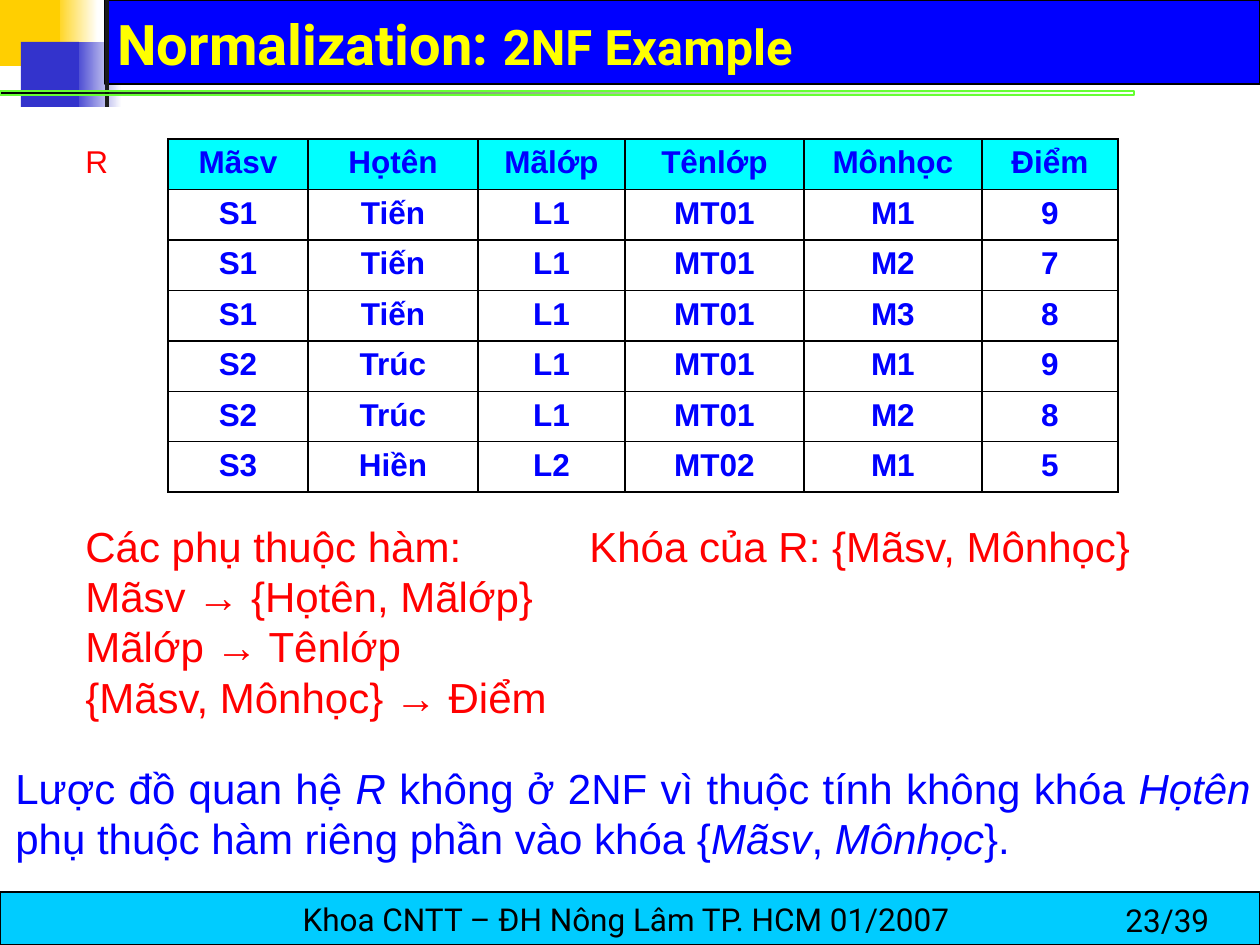
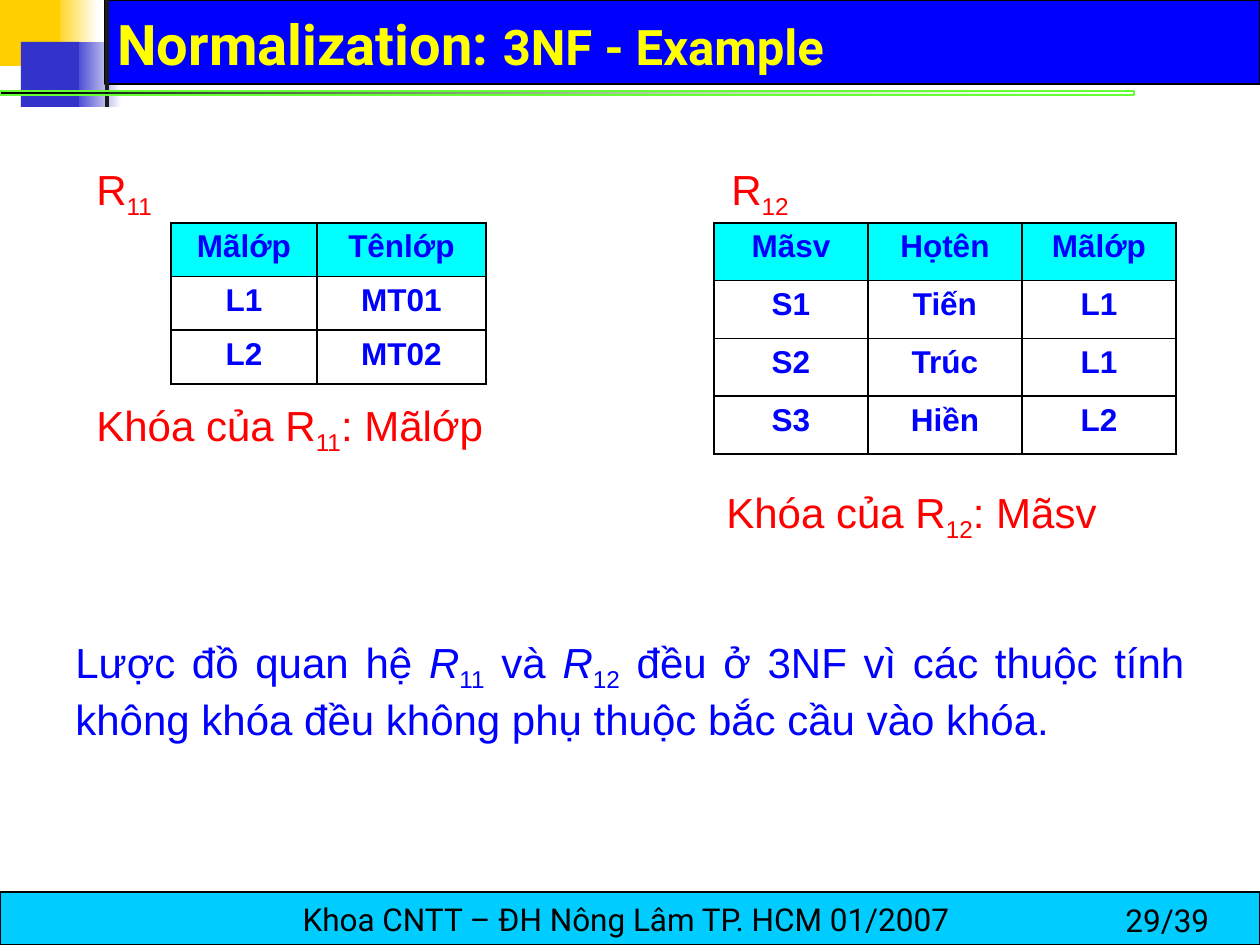
from dataclasses import dataclass

from lxml import etree
from pptx import Presentation
from pptx.dml.color import RGBColor
from pptx.enum.shapes import MSO_SHAPE
from pptx.enum.text import MSO_ANCHOR, PP_ALIGN
from pptx.oxml.ns import qn
from pptx.util import Pt

RECT = MSO_SHAPE.RECTANGLE
LEFT, MID, JUST = PP_ALIGN.LEFT, PP_ALIGN.CENTER, PP_ALIGN.JUSTIFY
TOP, CENTER, BOTTOM = MSO_ANCHOR.TOP, MSO_ANCHOR.MIDDLE, MSO_ANCHOR.BOTTOM
SCALE = 914400 / 126


@dataclass(frozen=True)
class Theme:
    gold: str = "FFCF01"
    navy: str = "3333CC"
    blue: str = "0000FF"
    sky: str = "00CCFF"
    cyan: str = "00FFFF"
    green: str = "66FF33"
    yellow: str = "FFFF00"
    red: str = "FF0000"
    dark: str = "1C1C1C"
    black: str = "000000"
    white: str = "FFFFFF"
    head: str = "Roboto"
    body: str = "Arial"
    title: int = 32
    topic: int = 28
    text: int = 24
    small: int = 18


T = Theme()

# Shared bands: box, fill (a pair is a gradient), line colour, line width
BANDS = [
    ((53, 0, 45, 66), (T.gold, T.white), None, 0),
    ((72, 42, 50, 65), (T.navy, T.white), None, 0),
    ((105, 0, 1155, 84), T.blue, T.black, 0.75),
    ((0, 0, 60, 66), T.gold, None, 0),
    ((21, 42, 58, 65), T.navy, None, 0),
    ((105, 0, 4, 107), T.dark, None, 0),
    ((0, 91, 1134, 4), (T.black, T.green), T.green, 0),
    ((0, 892, 1260, 53), T.sky, T.black, 0.75),
]
FOOTER = "Khoa CNTT – ĐH Nông Lâm TP. HCM 01/2007 "
PAGES = 39
TAB = 504

# A paragraph is a list of runs; a run is plain text or (text, style).
SLIDES = [
    {
        "topic": "2NF Example",
        "page": 23,
        "tables": [
            {
                "at": (168, 139), "high": 353,
                "cols": [140, 170, 147, 179, 178, 136],
                "rows": [
                    ["Mãsv", "Họtên", "Mãlớp", "Tênlớp", "Mônhọc", "Điểm"],
                    ["S1", "Tiến", "L1", "MT01", "M1", "9"],
                    ["S1", "Tiến", "L1", "MT01", "M2", "7"],
                    ["S1", "Tiến", "L1", "MT01", "M3", "8"],
                    ["S2", "Trúc", "L1", "MT01", "M1", "9"],
                    ["S2", "Trúc", "L1", "MT01", "M2", "8"],
                    ["S3", "Hiền", "L2", "MT02", "M1", "5"],
                ],
            },
        ],
        "labels": [
            ((73, 136, 63, 50), T.small, [["R"]]),
            ((73, 514, 1097, 217), T.text, [
                ["Các phụ thuộc hàm:\tKhóa của R: {Mãsv, Mônhọc}"],
                ["Mãsv → {Họtên, Mãlớp}"],
                ["Mãlớp → Tênlớp"],
                ["{Mãsv, Mônhọc} → Điểm"],
            ]),
        ],
        "claim": ((3, 756, 1260, 115), [
            "Lược đồ quan hệ ", ("R", "italic"),
            " không ở 2NF vì thuộc tính không khóa ", ("Họtên", "italic"),
            " phụ thuộc hàm riêng phần vào khóa {", ("Mãsv", "italic"),
            ", ", ("Mônhọc", "italic"), "}.",
        ]),
    },
    {
        "topic": "3NF - Example",
        "page": 29,
        "tables": [
            {
                "at": (171, 223), "high": 161,
                "cols": [146, 169],
                "rows": [["Mãlớp", "Tênlớp"], ["L1", "MT01"], ["L2", "MT02"]],
            },
            {
                "at": (714, 223), "high": 231,
                "cols": [154, 154, 154],
                "rows": [
                    ["Mãsv", "Họtên", "Mãlớp"],
                    ["S1", "Tiến", "L1"],
                    ["S2", "Trúc", "L1"],
                    ["S3", "Hiền", "L2"],
                ],
            },
        ],
        "labels": [
            ((84, 157, 116, 63), T.text, [["R", ("11", "sub")]]),
            ((719, 157, 105, 63), T.text, [["R", ("12", "sub")]]),
            ((84, 393, 514, 63), T.text,
             [["Khóa của R", ("11", "sub"), ": Mãlớp"]]),
            ((714, 480, 451, 63), T.text,
             [["Khóa của R", ("12", "sub"), ": Mãsv"]]),
        ],
        "claim": ((63, 630, 1134, 115), [
            "Lược đồ quan hệ ", ("R", "italic"), ("11", "sub"),
            " và ", ("R", "italic"), ("12", "sub"),
            " đều ở 3NF vì các thuộc tính không khóa đều không phụ thuộc"
            " bắc cầu vào khóa.",
        ]),
    },
]


def emu(px):
    return round(px * SCALE)


def rgb(code):
    return RGBColor.from_string(code)


def style(run, font, size, color, bold=False):
    run.font.name = font
    run.font.size = Pt(size)
    run.font.color.rgb = rgb(color)
    run.font.bold = bold


def add_band(slide, box, fill, edge, width):
    band = slide.shapes.add_shape(RECT, *map(emu, box))
    band.shadow.inherit = False
    if isinstance(fill, tuple):
        band.fill.gradient()
        band.fill.gradient_angle = 0
        for stop, color, spot in zip(band.fill.gradient_stops, fill, (0, 1)):
            stop.color.rgb = rgb(color)
            stop.position = spot
    else:
        band.fill.solid()
        band.fill.fore_color.rgb = rgb(fill)
    if edge:
        band.line.color.rgb = rgb(edge)
        band.line.width = Pt(width)
    else:
        band.line.fill.background()
    return band


def fade_end(band):
    """Make the last gradient stop fully transparent."""
    last = band.element.spPr.findall(".//" + qn("a:gs"))[-1]
    etree.SubElement(last[0], qn("a:alpha"), val="0")


def add_text(slide, box, paras, font, size, color, align=LEFT, anchor=TOP):
    frame = slide.shapes.add_textbox(*map(emu, box)).text_frame
    frame.word_wrap = True
    frame.vertical_anchor = anchor
    for i, parts in enumerate(paras):
        para = frame.add_paragraph() if i else frame.paragraphs[0]
        para.alignment = align
        for part in parts:
            text, kind = (part, "") if isinstance(part, str) else part
            run = para.add_run()
            run.text = text
            style(run, font, size, color)
            if kind == "italic":
                run.font.italic = True
            elif kind == "sub":
                run.font._element.set("baseline", "-25000")
            if "\t" in text:
                stops = etree.SubElement(
                    para._p.get_or_add_pPr(), qn("a:tabLst"))
                etree.SubElement(
                    stops, qn("a:tab"), pos=str(emu(TAB)), algn="l")
    return frame


def add_edges(cell):
    props = cell._tc.get_or_add_tcPr()
    for side in ("lnL", "lnR", "lnT", "lnB"):
        line = etree.SubElement(props, qn("a:" + side), w=str(Pt(1)))
        fill = etree.SubElement(line, qn("a:solidFill"))
        etree.SubElement(fill, qn("a:srgbClr"), val=T.black)


def add_grid(slide, at, high, cols, rows):
    box = (*at, sum(cols), high)
    grid = slide.shapes.add_table(
        len(rows), len(cols), *map(emu, box)).table
    grid.first_row = grid.horz_banding = False
    for col, width in zip(grid.columns, cols):
        col.width = emu(width)
    for r, row in enumerate(rows):
        grid.rows[r].height = emu(high / len(rows))
        for c, text in enumerate(row):
            cell = grid.cell(r, c)
            add_edges(cell)
            cell.fill.solid()
            cell.fill.fore_color.rgb = rgb(T.white if r else T.cyan)
            cell.text_frame.text = text
            para = cell.text_frame.paragraphs[0]
            para.alignment = MID
            style(para.runs[0], T.body, T.small, T.blue, True)


def add_frame(slide, topic, page):
    """Draw the shared bands, footer, page number and title."""
    bands = [add_band(slide, *band) for band in BANDS]
    fade_end(bands[-2])
    foot = bands[-1].text_frame
    foot.word_wrap = False
    foot.vertical_anchor = CENTER
    foot.text = FOOTER
    foot.paragraphs[0].alignment = MID
    style(foot.paragraphs[0].runs[0], T.head, T.small, T.black)
    add_text(slide, (1113, 895, 147, 50), [[f"{page}/{PAGES}"]],
             T.head, T.small, T.black)
    title = add_text(slide, (105, 10, 1126, 73), [["Normalization: ", topic]],
                     T.head, T.title, T.yellow, anchor=BOTTOM)
    for run, size in zip(title.paragraphs[0].runs, (T.title, T.topic)):
        style(run, T.head, size, T.yellow, True)


def main():
    deck = Presentation()
    deck.slide_width, deck.slide_height = emu(1260), emu(945)
    for data in SLIDES:
        slide = deck.slides.add_slide(deck.slide_layouts[6])
        add_frame(slide, data["topic"], data["page"])
        for table in data["tables"]:
            add_grid(slide, **table)
        for box, size, paras in data["labels"]:
            add_text(slide, box, paras, T.body, size, T.red)
        box, claim = data["claim"]
        add_text(slide, box, [claim], T.body, T.text, T.blue, JUST)
    deck.save("out.pptx")


if __name__ == "__main__":
    main()
